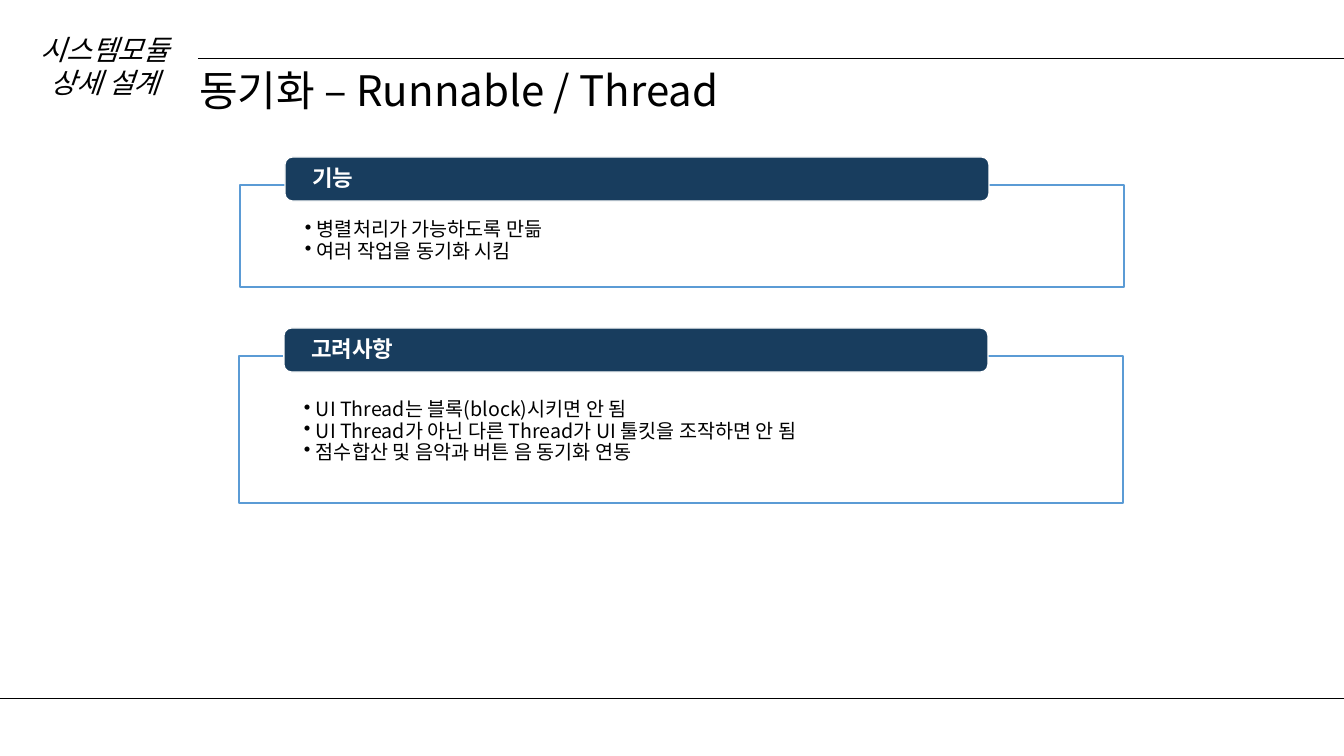
from pptx import Presentation
from pptx.dml.color import RGBColor
from pptx.enum.shapes import MSO_CONNECTOR, MSO_SHAPE
from pptx.enum.text import MSO_ANCHOR, PP_ALIGN
from pptx.oxml.ns import qn
from pptx.util import Emu, Pt
from lxml import etree

STRAIGHT = MSO_CONNECTOR.STRAIGHT
RECTANGLE, ROUNDED = MSO_SHAPE.RECTANGLE, MSO_SHAPE.ROUNDED_RECTANGLE
TOP, MIDDLE = MSO_ANCHOR.TOP, MSO_ANCHOR.MIDDLE
LEFT, CENTER = PP_ALIGN.LEFT, PP_ALIGN.CENTER

FONT = "Noto Sans CJK KR"
BLACK, WHITE, NAVY, BLUE = "000000", "FFFFFF", "183D5E", "5B9BD5"
SLIDE_WIDTH, SLIDE_HEIGHT = 1344, 756
BULLET_INDENT = 12

PANELS = [
    ((240, 185, 884, 102), 35, "기능",
     ["병렬처리가 가능하도록 만듦", "여러 작업을 동기화 시킴"]),
    ((239, 356, 884, 147), 44, "고려사항",
     ["UI Thread는 블록(block)시키면 안 됨",
      "UI Thread가 아닌 다른 Thread가 UI 툴킷을 조작하면 안 됨",
      "점수합산 및 음악과 버튼 음 동기화 연동"]),
]


def px(length):
    """Turn a length in px into EMU."""
    return Emu(round(length * 914400 / 100.8))


def colour(hex_string):
    """Turn a hex string into a colour."""
    return RGBColor.from_string(hex_string)


def apply(target, values):
    """Set each attribute of the target from a dict."""
    for name, value in values.items():
        setattr(target, name, value)


def write(shape, lines, size, ink=BLACK, insets=(10, 5, 10, 5), anchor=TOP,
          align=LEFT, spacing=1.0, **font):
    """Fill a shape with one formatted paragraph per line of text."""
    frame = shape.text_frame
    left, top, right, bottom = map(px, insets)
    apply(frame, {"word_wrap": True, "vertical_anchor": anchor,
                  "margin_left": left, "margin_top": top,
                  "margin_right": right, "margin_bottom": bottom})
    frame.text = "\n".join(lines)
    for paragraph in frame.paragraphs:
        apply(paragraph, {"alignment": align, "line_spacing": spacing})
        run = paragraph.runs[0]
        apply(run.font, {"name": FONT, "size": Pt(size), **font})
        run.font.color.rgb = colour(ink)
        east_asian = etree.SubElement(run.font._element, qn("a:ea"))
        east_asian.set("typeface", FONT)
    return frame


def add_bullets(frame):
    """Give every paragraph of the frame a hanging bullet."""
    for paragraph in frame.paragraphs:
        properties = paragraph._p.get_or_add_pPr()
        properties.set("marL", str(px(BULLET_INDENT)))
        properties.set("indent", str(-px(BULLET_INDENT)))
        etree.SubElement(properties, qn("a:buChar")).set("char", "•")


def add_block(slide, kind, box, fill, outline):
    """Draw a flat filled shape with a one point outline."""
    block = slide.shapes.add_shape(kind, *map(px, box))
    block.shadow.inherit = False
    block.fill.solid()
    block.fill.fore_color.rgb = colour(fill)
    block.line.color.rgb = colour(outline)
    block.line.width = Pt(1)
    return block


def add_rule(slide, left, y):
    """Draw a thin rule from left to the slide's right edge."""
    rule = slide.shapes.add_connector(
        STRAIGHT, px(left), px(y), px(SLIDE_WIDTH), px(y))
    rule.line.color.rgb = colour(BLACK)
    rule.line.width = Pt(0.5)
    etree.SubElement(rule._element.spPr, qn("a:effectLst"))


def add_header(slide, box):
    """Place the section label and the slide title in the header box."""
    left, top, width, height = box
    label_width = 168
    section = slide.shapes.add_textbox(
        px(left), px(top), px(label_width), px(height))
    write(section, ["시스템모듈 상세 설계"], 20, align=CENTER, italic=True)
    title = slide.shapes.title
    apply(title, {"left": px(left + label_width), "top": px(top + 33),
                  "width": px(width - label_width), "height": px(61)})
    write(title, ["동기화 – Runnable / Thread"], 30)


def add_panel(slide, box, bullets_offset, heading, bullets):
    """Draw an outlined box with a heading bar over its top edge."""
    left, top, width, height = box
    add_block(slide, RECTANGLE, box, WHITE, BLUE)
    bar = add_block(slide, ROUNDED, (left + 45, top - 28, 704, 44), NAVY, WHITE)
    write(bar, [heading], 16, WHITE, (25, 0, 25, 0), MIDDLE, spacing=0.9, bold=True)
    notes = slide.shapes.add_textbox(
        px(left + 65), px(top + bullets_offset), px(width - 130),
        px(height - bullets_offset))
    add_bullets(write(notes, bullets, 14, insets=(0, 0, 0, 0), spacing=0.9))


def main():
    """Build the slide and save it."""
    presentation = Presentation()
    apply(presentation, {"slide_width": px(SLIDE_WIDTH),
                         "slide_height": px(SLIDE_HEIGHT)})
    slide = presentation.slides.add_slide(presentation.slide_layouts[5])
    add_rule(slide, 198, 58)
    add_rule(slide, 0, 698)
    add_header(slide, (21, 27, 1216, 78))
    for panel in PANELS:
        add_panel(slide, *panel)
    presentation.save("out.pptx")


if __name__ == "__main__":
    main()
